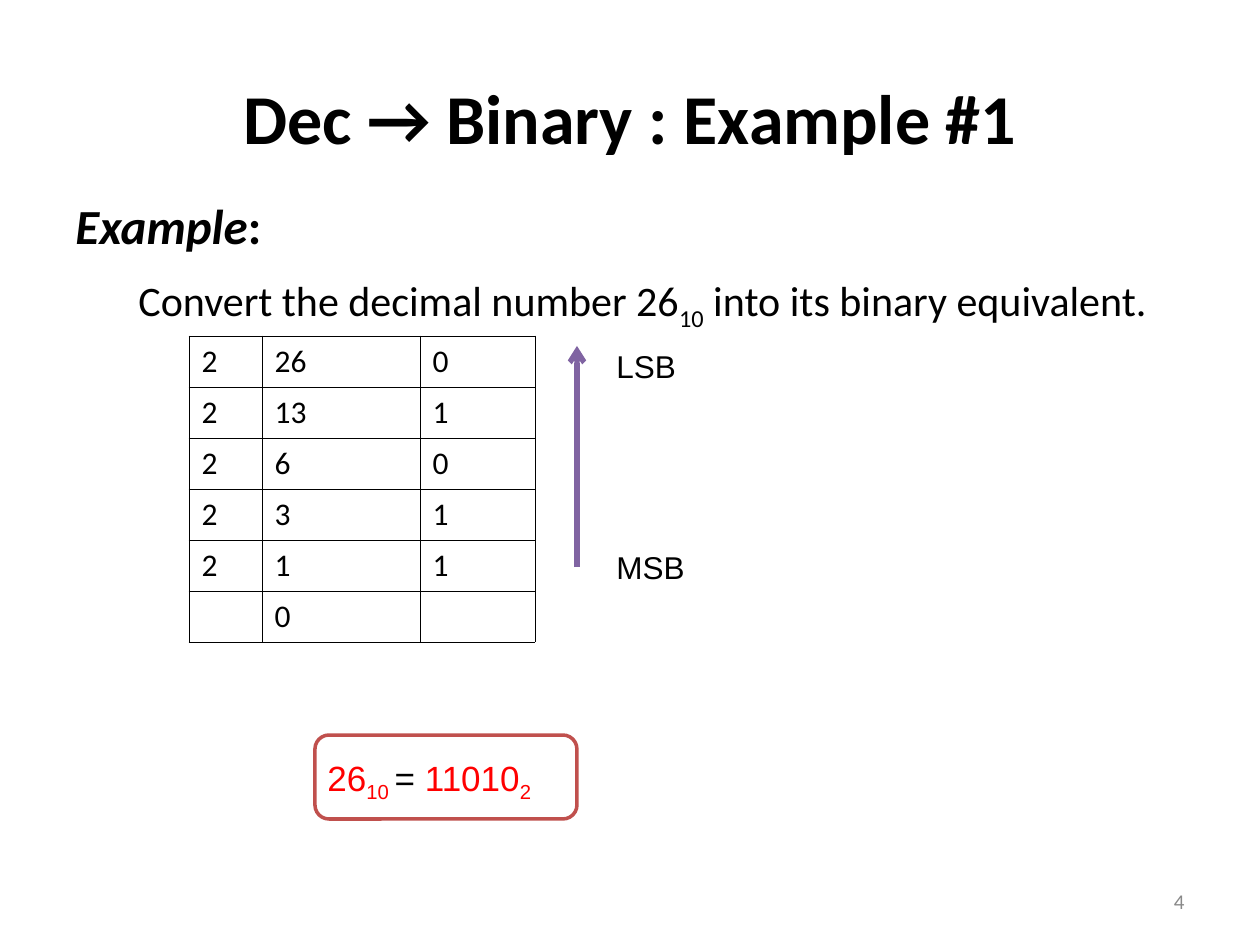
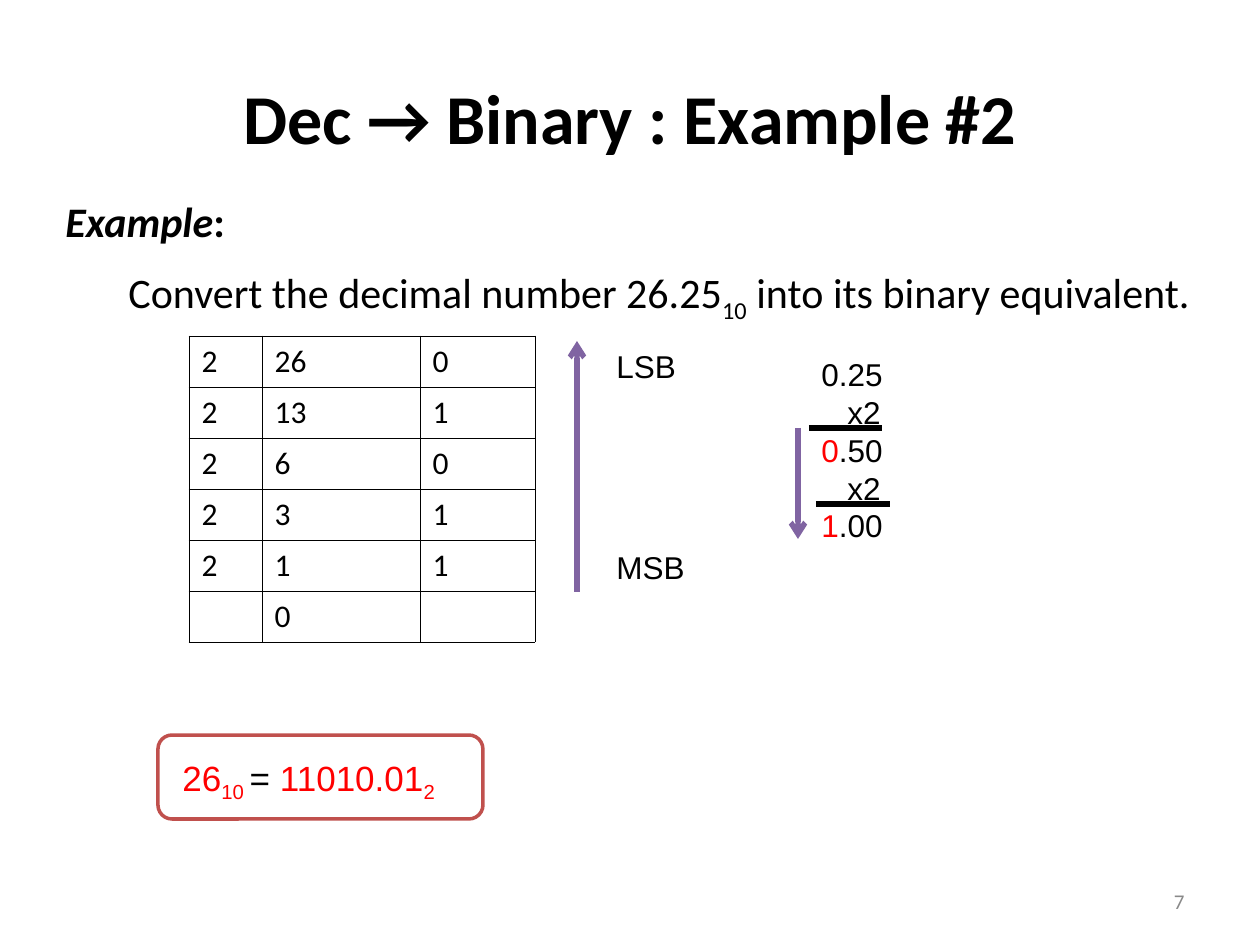
from dataclasses import dataclass
from typing import NamedTuple

from lxml.etree import SubElement
from pptx import Presentation
from pptx.dml.color import RGBColor
from pptx.enum.shapes import MSO_CONNECTOR, MSO_SHAPE
from pptx.enum.text import MSO_ANCHOR, PP_ALIGN
from pptx.oxml.ns import qn
from pptx.util import Emu, Pt

SCALE = 914400 / 126
BLACK = RGBColor(0, 0, 0)
RED = RGBColor(255, 0, 0)
GREY = RGBColor(0x89, 0x89, 0x89)
PURPLE = RGBColor(0x80, 0x64, 0xA2)
BRICK = RGBColor(0xC0, 0x50, 0x4D)

TITLE = dict(name="Calibri", size=Pt(40), bold=True)
FOOT = dict(name="Calibri", size=Pt(12))
BODY = dict(name="Calibri", size=Pt(24))
CELL = dict(name="Calibri", size=Pt(18))
LABEL = dict(name="Arial", size=Pt(18))
RESULT = dict(name="Arial", size=Pt(20))

COLS = (73, 158, 115)
ROW = 51
STEPS = (
    ("2", "26", "0"),
    ("2", "13", "1"),
    ("2", "6", "0"),
    ("2", "3", "1"),
    ("2", "1", "1"),
    ("", "0", ""),
)


class Box(NamedTuple):
    left: int
    top: int
    width: int
    height: int


class Run(NamedTuple):
    text: str
    form: dict
    tint: RGBColor = BLACK
    sub: bool = False


@dataclass
class Para:
    runs: list[Run]
    form: dict
    indent: int = 0


@dataclass
class Line:
    start: tuple[int, int]
    end: tuple[int, int]
    tint: RGBColor = PURPLE
    arrow: bool = True


@dataclass
class Lesson:
    title: str
    page: str
    body: Box
    head: Pt
    number: str
    binary: str
    frame: Box
    answer: Box
    lines: list[Line]


def px(value: float) -> Emu:
    return Emu(round(value * SCALE))


def apply(target, form: dict) -> None:
    for key, value in form.items():
        setattr(target, key, value)


def fill_para(para, data: Para) -> None:
    apply(para, data.form)
    if data.indent:
        props = para._p.get_or_add_pPr()
        props.set("marL", str(px(data.indent)))
        props.set("indent", "0")
    for item in data.runs:
        run = para.add_run()
        run.text = item.text
        apply(run.font, item.form)
        run.font.color.rgb = item.tint
        if item.sub:
            run._r.get_or_add_rPr().set("baseline", "-25000")


def add_text(shapes, box: Box, paras: list[Para], anchor=MSO_ANCHOR.TOP) -> None:
    frame = shapes.add_textbox(*map(px, box)).text_frame
    apply(frame, dict(word_wrap=True, vertical_anchor=anchor))
    for index, data in enumerate(paras):
        fill_para(frame.add_paragraph() if index else frame.paragraphs[0], data)


def add_line(shapes, line: Line) -> None:
    link = shapes.add_connector(
        MSO_CONNECTOR.STRAIGHT, *map(px, line.start + line.end)
    )
    link.line.width = Pt(3)
    link.line.color.rgb = line.tint
    if line.arrow:
        SubElement(link.line._get_or_add_ln(), qn("a:tailEnd"), type="arrow")
    SubElement(link._element.spPr, qn("a:effectLst"))


def add_edges(cell) -> None:
    props = cell._tc.get_or_add_tcPr()
    for side in "LRTB":
        edge = SubElement(props, qn(f"a:ln{side}"), w=str(Pt(0.45)))
        paint = SubElement(edge, qn("a:solidFill"))
        SubElement(paint, qn("a:srgbClr"), val=str(BLACK))


def add_grid(shapes) -> None:
    box = Box(189, 336, sum(COLS), ROW * len(STEPS))
    table = shapes.add_table(len(STEPS), len(COLS), *map(px, box)).table
    apply(table, dict(first_row=False, horz_banding=False))
    for column, width in zip(table.columns, COLS):
        column.width = px(width)
    for row, values in zip(table.rows, STEPS):
        row.height = px(ROW)
        for cell, value in zip(row.cells, values):
            add_edges(cell)
            cell.fill.background()
            if value:
                fill_para(cell.text_frame.paragraphs[0], Para([Run(value, CELL)], {}))


def add_answer(shapes, lesson: Lesson) -> None:
    group = shapes.add_group_shape().shapes
    runs = [
        Run("26", RESULT, RED),
        Run("10 ", RESULT, RED, True),
        Run("=", RESULT),
        Run(" " + lesson.binary, RESULT, RED),
        Run("2", RESULT, RED, True),
    ]
    add_text(group, lesson.answer, [Para(runs, {})])
    frame = group.add_shape(MSO_SHAPE.ROUNDED_RECTANGLE, *map(px, lesson.frame))
    frame.shadow.inherit = False
    frame.fill.background()
    frame.line.color.rgb = BRICK
    frame.line.width = Pt(2)


def add_lesson(deck, lesson: Lesson):
    shapes = deck.slides.add_slide(deck.slide_layouts[6]).shapes
    add_text(
        shapes,
        Box(63, 38, 1134, 157),
        [Para([Run(lesson.title, TITLE)], dict(alignment=PP_ALIGN.CENTER))],
        MSO_ANCHOR.MIDDLE,
    )
    head = BODY | dict(size=lesson.head, bold=True)
    task = [
        Run("Convert the decimal number " + lesson.number, BODY),
        Run("10", BODY, sub=True),
        Run(" into its binary equivalent.", BODY),
    ]
    add_text(
        shapes,
        lesson.body,
        [
            Para(
                [Run("Example", head | dict(italic=True)), Run(":", head)],
                dict(space_after=Pt(12)),
            ),
            Para(task, dict(level=1), 63),
        ],
    )
    add_text(
        shapes,
        Box(903, 876, 294, 50),
        [Para([Run(lesson.page, FOOT, GREY)], dict(alignment=PP_ALIGN.RIGHT))],
        MSO_ANCHOR.MIDDLE,
    )
    add_grid(shapes)
    for label, top in (("LSB", 341), ("MSB", 542)):
        add_text(shapes, Box(604, top, 110, 50), [Para([Run(label, LABEL)], {})])
    add_answer(shapes, lesson)
    for line in lesson.lines:
        add_line(shapes, line)
    return shapes


def add_product(shapes) -> None:
    times = Para([Run("x2", LABEL)], {}, 26)
    paras = [Para([Run("0.25", LABEL)], {})]
    for digit, rest in (("0", ".50"), ("1", ".00")):
        paras += [times, Para([Run(digit, LABEL, RED), Run(rest, LABEL)], {})]
    add_text(shapes, Box(809, 349, 116, 202), paras)


def main() -> None:
    deck = Presentation()
    apply(deck, dict(slide_width=px(1260), slide_height=px(945)))
    first = Lesson(
        title="Dec → Binary : Example #1",
        page="4",
        body=Box(63, 189, 1113, 150),
        head=Pt(28),
        number="26",
        binary="11010",
        frame=Box(315, 735, 262, 84),
        answer=Box(315, 750, 262, 60),
        lines=[Line((577, 567), (577, 346))],
    )
    second = Lesson(
        title="Dec → Binary : Example #2",
        page="7",
        body=Box(53, 189, 1155, 141),
        head=Pt(24),
        number="26.25",
        binary="11010.01",
        frame=Box(158, 735, 325, 84),
        answer=Box(170, 750, 284, 60),
        lines=[
            Line((577, 592), (577, 341)),
            Line((809, 428), (882, 428), BLACK, False),
            Line((816, 504), (890, 504), BLACK, False),
            Line((798, 428), (798, 539)),
        ],
    )
    add_lesson(deck, first)
    add_product(add_lesson(deck, second))
    deck.save("out.pptx")


main()
